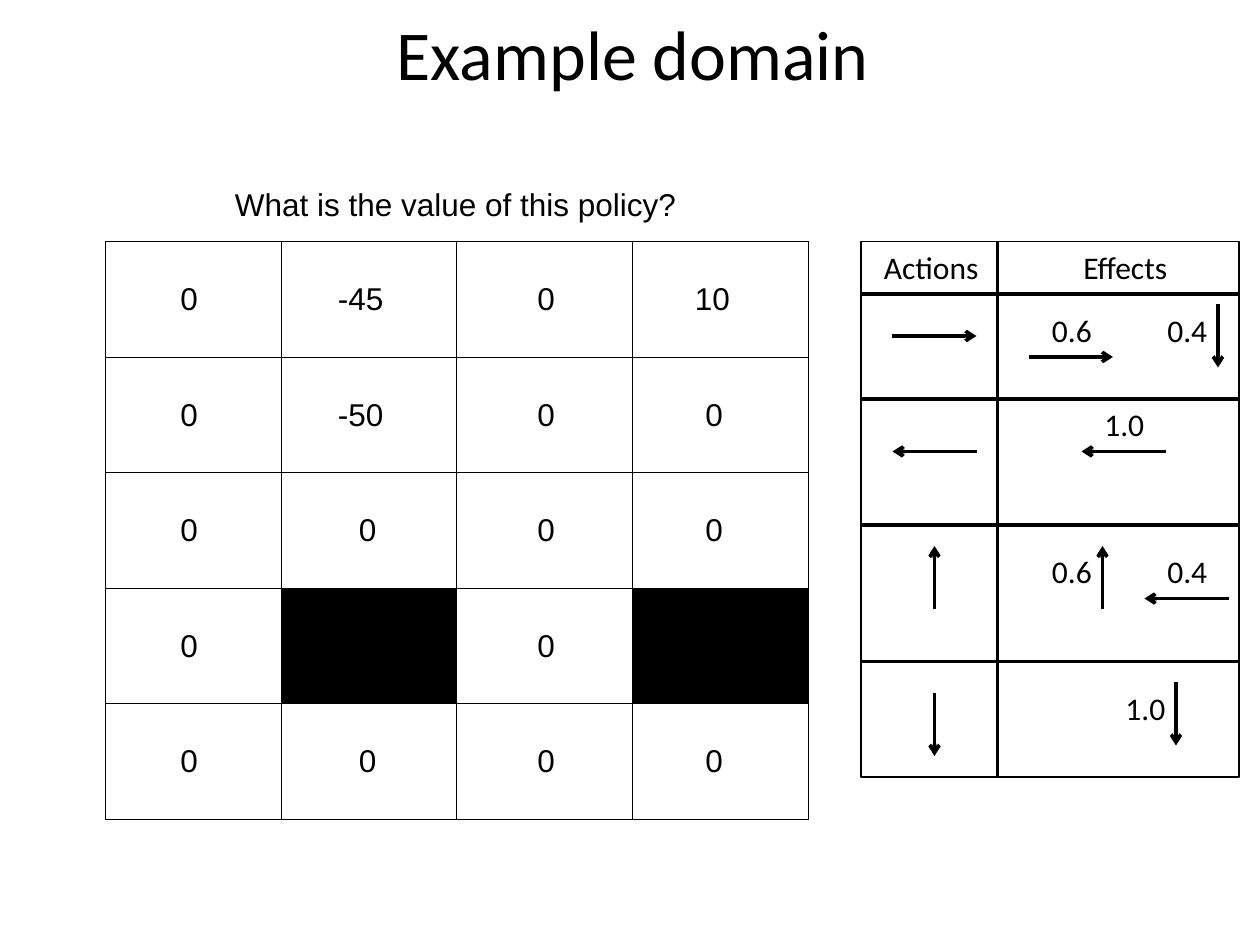
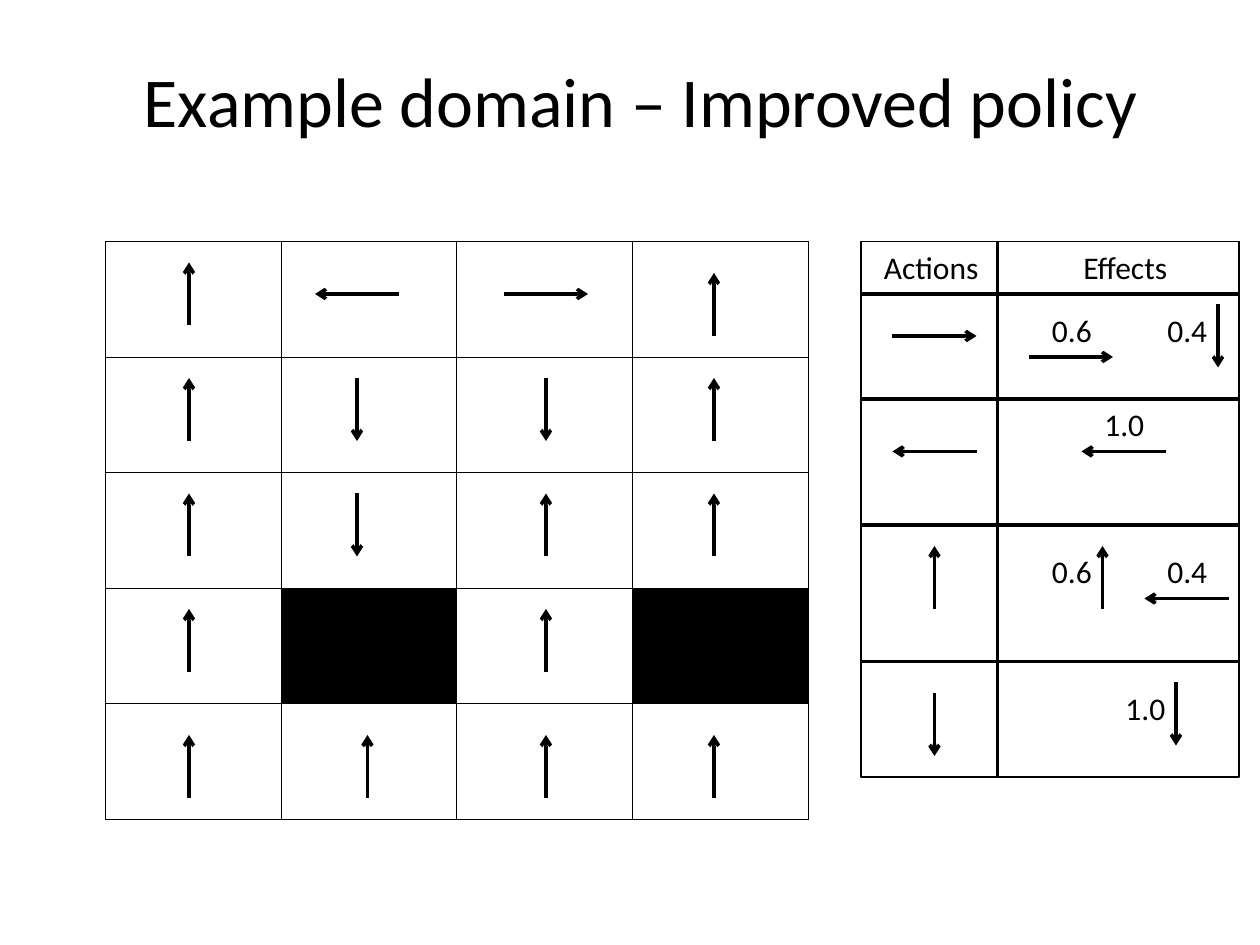
import dataclasses

import pptx
import pptx.dml.color
import pptx.enum.shapes
import pptx.enum.text
import pptx.oxml
import pptx.oxml.ns
import pptx.util

EMU_PER_PX = 7620  # 120 px to the inch
TITLE_ONLY_LAYOUT = 5


@dataclasses.dataclass(frozen=True)
class Theme:
    ink: pptx.dml.color.RGBColor = pptx.dml.color.RGBColor(0, 0, 0)
    heading_font: str = "Calibri"
    value_font: str = "Arial"
    title_size: float = 40
    text_size: float = 18
    arrow_weight: float = 2
    frame_weight: float = 0.75
    cell_weight: float = 0.45


def px(length):
    return pptx.util.Emu(round(length * EMU_PER_PX))


class SlideBuilder:
    def __init__(self, deck, theme):
        self.deck = deck
        self.theme = theme
        self.slide = None

    def new_slide(self):
        layout = self.deck.slide_layouts[TITLE_ONLY_LAYOUT]
        self.slide = self.deck.slides.add_slide(layout)

    def format_text(self, frame, size, font):
        for para in frame.paragraphs:
            for span in para.runs:
                span.font.size = pptx.util.Pt(size)
                span.font.name = font
                span.font.color.rgb = self.theme.ink

    def title(self, text, top, anchor, margins):
        """Place the title; margins are left, top, right and bottom."""
        box = self.slide.shapes.title
        box.left, box.top, box.width, box.height = map(px, (70, top, 1080, 150))
        frame = box.text_frame
        frame.text = text
        frame.word_wrap = True
        frame.auto_size = pptx.enum.text.MSO_AUTO_SIZE.NONE
        frame.vertical_anchor = anchor
        (frame.margin_left, frame.margin_top,
         frame.margin_right, frame.margin_bottom) = map(px, margins)
        frame.paragraphs[0].alignment = pptx.enum.text.PP_ALIGN.CENTER
        self.format_text(frame, self.theme.title_size, self.theme.heading_font)

    def label(self, text, left, top, width, font, wrap=False):
        box = self.slide.shapes.add_textbox(*map(px, (left, top, width, 48)))
        frame = box.text_frame
        frame.text = text
        frame.word_wrap = wrap
        frame.auto_size = pptx.enum.text.MSO_AUTO_SIZE.SHAPE_TO_FIT_TEXT
        self.format_text(frame, self.theme.text_size, font)

    def line(self, start, end, arrowhead=False):
        connector = self.slide.shapes.add_connector(
            pptx.enum.shapes.MSO_CONNECTOR.STRAIGHT, *map(px, start + end))
        connector.line.color.rgb = self.theme.ink
        connector.line.width = pptx.util.Pt(self.theme.arrow_weight)
        properties = connector.element.spPr
        if arrowhead:
            outline = properties.find(pptx.oxml.ns.qn("a:ln"))
            tail = pptx.oxml.parse_xml(
                f'<a:tailEnd {pptx.oxml.ns.nsdecls("a")} type="arrow"/>')
            outline.append(tail)
        properties.append(pptx.oxml.parse_xml(
            f'<a:effectLst {pptx.oxml.ns.nsdecls("a")}/>'))

    def arrow(self, direction, left, top):
        """Draw an arrow whose upper or left end is at the given point."""
        near = (left, top)
        far = (left + 80, top) if direction in "←→" else (left, top + 60)
        if direction in "←↑":
            near, far = far, near
        self.line(near, far, arrowhead=True)

    def frame(self, left, top, width, height):
        box = self.slide.shapes.add_shape(
            pptx.enum.shapes.MSO_SHAPE.RECTANGLE,
            *map(px, (left, top, width, height)))
        box.shadow.inherit = False
        box.fill.background()
        box.line.color.rgb = self.theme.ink
        box.line.width = pptx.util.Pt(self.theme.frame_weight)

    def cell_borders(self, cell):
        properties = cell._tc.get_or_add_tcPr()
        width = pptx.util.Pt(self.theme.cell_weight)
        for side in "LRTB":
            properties.append(pptx.oxml.parse_xml(
                f'<a:ln{side} {pptx.oxml.ns.nsdecls("a")} w="{width}"><a:solidFill>'
                f'<a:srgbClr val="{self.theme.ink}"/></a:solidFill></a:ln{side}>'))

    def grid(self, left, top, width, height, rows, columns, walls):
        """Draw an empty table whose wall cells are filled."""
        table = self.slide.shapes.add_table(
            rows, columns, *map(px, (left, top, width, height))).table
        table.first_row = False
        table.horz_banding = False
        for row in range(rows):
            for column in range(columns):
                cell = table.cell(row, column)
                self.cell_borders(cell)
                if (row, column) in walls:
                    cell.fill.solid()
                    cell.fill.fore_color.rgb = self.theme.ink
                else:
                    cell.fill.background()


WALLS = {(3, 1), (3, 3)}

ARROWS_IN_ACTIONS = [("→", 850, 320), ("←", 850, 430), ("↑", 890, 520), ("↓", 890, 660)]
ARROWS_IN_EFFECTS = [
    ("→", 980, 340), ("↓", 1160, 290), ("←", 1030, 430),
    ("↑", 1050, 520), ("←", 1090, 570), ("↓", 1120, 650),
]
PROBABILITIES = [
    ("0.6", 990, 290), ("0.4", 1100, 290), ("1.0", 1040, 380),
    ("0.6", 990, 520), ("0.4", 1100, 520), ("1.0", 1060, 650),
]

STATE_VALUES = [
    ["0", "-45", "0", "10"],
    ["0", "-50", "0", "0"],
    ["0", "0", "0", "0"],
    ["0", None, "0", None],
    ["0", "0", "0", "0"],
]
VALUE_LEFTS = (160, 330, 500, 660)
VALUE_WIDTHS = {1: 41, 2: 58, 3: 67}

IMPROVED_POLICY = ["↑←→↑", "↑↓↓↑", "↑↓↑↑", "↑ ↑ ", "↑↑↑↑"]
POLICY_COLUMNS = (180, 340, 520, 680)
POLICY_ROWS = (250, 360, 470, 580, 700)
POLICY_NUDGES = {(0, 3): (0, 10), (4, 1): (10, 0)}


def add_domain(builder):
    """Draw the state grid and the table of actions and effects."""
    font = builder.theme.heading_font
    builder.grid(100, 230, 670, 550, 5, 4, WALLS)
    for direction, left, top in ARROWS_IN_ACTIONS + ARROWS_IN_EFFECTS:
        builder.arrow(direction, left, top)
    for text, left, top in PROBABILITIES:
        builder.label(text, left, top, 70, font, wrap=True)
    builder.label("Actions", 830, 230, 114, font)
    builder.label("Effects", 1020, 230, 106, font)
    builder.frame(820, 230, 360, 510)
    builder.line((950, 230), (950, 740))
    for top in (280, 380, 500, 630):
        builder.line((820, top), (1180, top))


def add_state_values(builder):
    font = builder.theme.value_font
    builder.label("What is the value of this policy?", 212, 170, 444, font)
    for row, values in enumerate(STATE_VALUES):
        for left, value in zip(VALUE_LEFTS, values):
            if value:
                digits = len(value)
                builder.label(value, left - 10 * (digits - 1), 260 + 110 * row,
                              VALUE_WIDTHS[digits], font)


def add_policy(builder):
    for row, directions in enumerate(IMPROVED_POLICY):
        for column, direction in enumerate(directions):
            if (row, column) in WALLS:
                continue
            right, down = POLICY_NUDGES.get((row, column), (0, 0))
            left = POLICY_COLUMNS[column] + right
            top = POLICY_ROWS[row] + down
            if direction in "←→":
                left, top = left - 40, top + 30
            builder.arrow(direction, left, top)


def main():
    deck = pptx.Presentation()
    deck.slide_width, deck.slide_height = px(1200), px(900)
    builder = SlideBuilder(deck, Theme())
    anchors = pptx.enum.text.MSO_ANCHOR

    builder.new_slide()
    builder.title("Example domain", 10, anchors.TOP, (0, 0, 15, 0))
    add_domain(builder)
    add_state_values(builder)

    builder.new_slide()
    builder.title("Example domain – Improved policy", 20, anchors.MIDDLE, (12, 6, 12, 6))
    add_domain(builder)
    add_policy(builder)

    deck.save("out.pptx")


if __name__ == "__main__":
    main()
